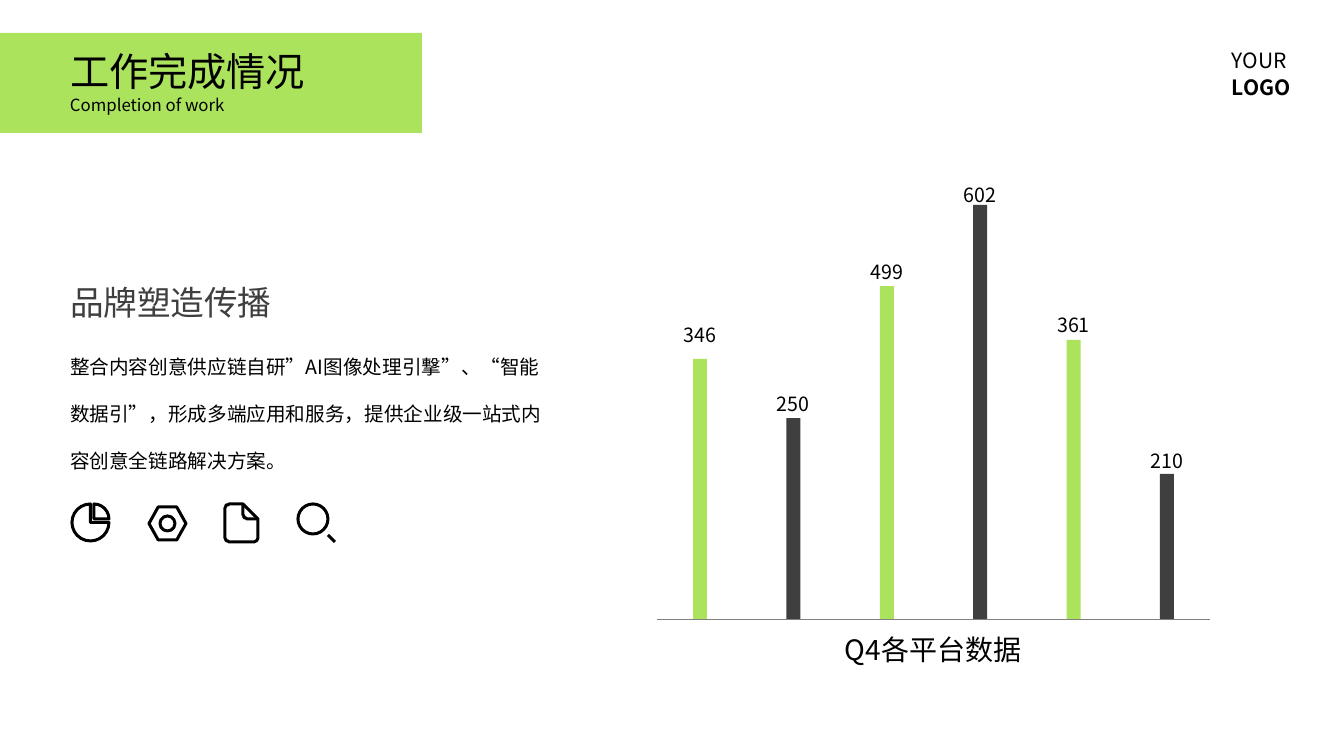
import math
from lxml import etree
from pptx import Presentation
from pptx import util as u
from pptx.dml.color import RGBColor
from pptx.enum import shapes, text
from pptx.oxml.ns import qn

# Content
TITLE = "工作完成情况"
SUBTITLE = "Completion of work"
LOGO_LINES = ["YOUR", "LOGO"]
HEADING = "品牌塑造传播"
BODY = ("整合内容创意供应链自研”AI图像处理引撃”、“智能数据引”，"
        "形成多端应用和服务，提供企业级一站式内容创意全链路解决方案。")
CHART_CAPTION = "Q4各平台数据"
# value, bar top, label top
BARS = [("346", 359, 311), ("250", 418, 380), ("499", 286, 248),
        ("602", 205, 171), ("361", 340, 301), ("210", 474, 437)]

# Style
PX = 914400 / 100.8
FONT = "Noto Sans CJK JP"
GREEN = RGBColor(0xAB, 0xE3, 0x5D)
DARK = RGBColor(0x3F, 0x3F, 0x3F)
GRAY = RGBColor(0x80, 0x80, 0x80)
BLACK = RGBColor(0, 0, 0)
STROKE = 3

# Layout
MARGIN = 70
BASELINE = 619
FIRST_BAR, LAST_BAR = 700, 1167
BAR_WIDTH, LABEL_WIDTH = 14, 55
MS = shapes.MSO_SHAPE


def px(*lengths):
    return [u.Emu(round(length * PX)) for length in lengths]


def format_text(shape, size, color=BLACK, align=text.PP_ALIGN.LEFT):
    frame = shape.text_frame
    frame.margin_left = frame.margin_right = frame.margin_top = frame.margin_bottom = 0
    frame.vertical_anchor = text.MSO_ANCHOR.TOP
    frame.word_wrap = True
    frame.auto_size = text.MSO_AUTO_SIZE.SHAPE_TO_FIT_TEXT
    for paragraph in frame.paragraphs:
        paragraph.alignment = align
        for run in paragraph.runs:
            run.font.size = u.Pt(size)
            run.font.color.rgb = color
            run.font.name = FONT
            etree.SubElement(run.font._element, qn("a:ea"), typeface=FONT)


def add_text(slide, box, words, size, **style):
    shape = slide.shapes.add_textbox(*px(*box))
    shape.text_frame.text = words
    format_text(shape, size, **style)
    return shape


def add_bar(slide, box, color):
    shape = slide.shapes.add_shape(MS.RECTANGLE, *px(*box))
    shape.shadow.inherit = False
    shape.fill.solid()
    shape.fill.fore_color.rgb = color
    shape.line.fill.background()


def outline(shape):
    shape.shadow.inherit = False
    shape.fill.background()
    shape.line.color.rgb = BLACK
    shape.line.width = px(STROKE)[0]


def add_outline(slide, kind, box, adjustments=()):
    shape = slide.shapes.add_shape(kind, *px(*box))
    for index, value in enumerate(adjustments):
        shape.adjustments[index] = value
    outline(shape)


def add_path(slide, points, close):
    builder = slide.shapes.build_freeform(*points[0], scale=PX)
    builder.add_line_segments(points[1:], close=close)
    outline(builder.convert_to_shape())


def add_line(slide, ends, color, width):
    line = slide.shapes.add_connector(shapes.MSO_CONNECTOR.STRAIGHT, *px(*ends))
    line.line.color.rgb = color
    line.line.width = width
    etree.SubElement(line._element.spPr, qn("a:effectLst"))


def arc(x, y, radius, start, end, steps=6):
    angles = [math.radians(start + (end - start) * i / steps) for i in range(steps + 1)]
    return [(x + radius * math.cos(a), y + radius * math.sin(a)) for a in angles]


def add_icons(slide):
    # Pie chart
    add_outline(slide, MS.PIE, (72, 504, 37, 37), (0, 162))
    add_outline(slide, MS.PIE, (79, 504, 30, 30), (162, 0))
    # Nut
    add_outline(slide, MS.HEXAGON, (149, 507, 37, 33), (0.28,))
    add_outline(slide, MS.OVAL, (160, 516, 15, 15))
    # Page with folded corner
    left, top, right, bottom, fold, radius = 225, 504, 258, 542, 15, 5
    page = [(right - fold, top), (right, top + fold)]
    page += arc(right - radius, bottom - radius, radius, 0, 90)
    page += arc(left + radius, bottom - radius, radius, 90, 180)
    page += arc(left + radius, top + radius, radius, 180, 270)
    add_path(slide, page, close=True)
    crease = [(right - fold, top)]
    crease += arc(right - fold + radius, top + fold - radius, radius, 180, 90)
    add_path(slide, crease + [(right, top + fold)], close=False)
    # Magnifier
    add_outline(slide, MS.OVAL, (298, 504, 30, 30))
    add_line(slide, (328, 535, 335, 542), BLACK, px(STROKE)[0])


def add_bars(slide):
    add_line(slide, (657, BASELINE, 1210, BASELINE), GRAY, u.Pt(0.5))
    pitch = (LAST_BAR - FIRST_BAR) / (len(BARS) - 1)
    for index, (value, bar_top, label_top) in enumerate(BARS):
        center = FIRST_BAR + index * pitch
        add_bar(slide, (center - BAR_WIDTH / 2, bar_top, BAR_WIDTH, BASELINE - bar_top),
                DARK if index % 2 else GREEN)
        label = add_text(slide, (center - LABEL_WIDTH / 2, label_top, LABEL_WIDTH, 32),
                         value, 14, align=text.PP_ALIGN.CENTER)
        label.text_frame.paragraphs[0].line_spacing = 1.5
        label.text_frame.paragraphs[0].space_after = u.Pt(10)
    add_text(slide, (814, 632, 238, 34), CHART_CAPTION, 20, align=text.PP_ALIGN.CENTER)


def main():
    presentation = Presentation()
    presentation.slide_width, presentation.slide_height = px(1344, 756)
    slide = presentation.slides.add_slide(presentation.slide_layouts[5])

    # Header band, with the title brought in front of it
    add_bar(slide, (0, 33, 422, 100), GREEN)
    title = slide.shapes.title
    title.left, title.top, title.width, title.height = px(MARGIN, 47, 270, 47)
    title.text_frame.text = TITLE
    format_text(title, 28)
    slide.shapes._spTree.append(title._element)
    add_text(slide, (MARGIN, 95, 319, 20), SUBTITLE, 12)

    # Placeholder words at top right
    logo = add_text(slide, (1232, 45, 80, 54), "\n".join(LOGO_LINES), 15)
    for paragraph in logo.text_frame.paragraphs:
        paragraph.line_spacing = u.Pt(19.5)
    logo.text_frame.paragraphs[1].runs[0].font.bold = True

    # Left column
    add_text(slide, (MARGIN, 282, 238, 40), HEADING, 24, color=DARK)
    body = add_text(slide, (MARGIN, 331, 483, 136), BODY, 14)
    body.text_frame.paragraphs[0].line_spacing = 2.0
    add_icons(slide)

    # Bars with values
    add_bars(slide)
    presentation.save("out.pptx")


if __name__ == "__main__":
    main()
